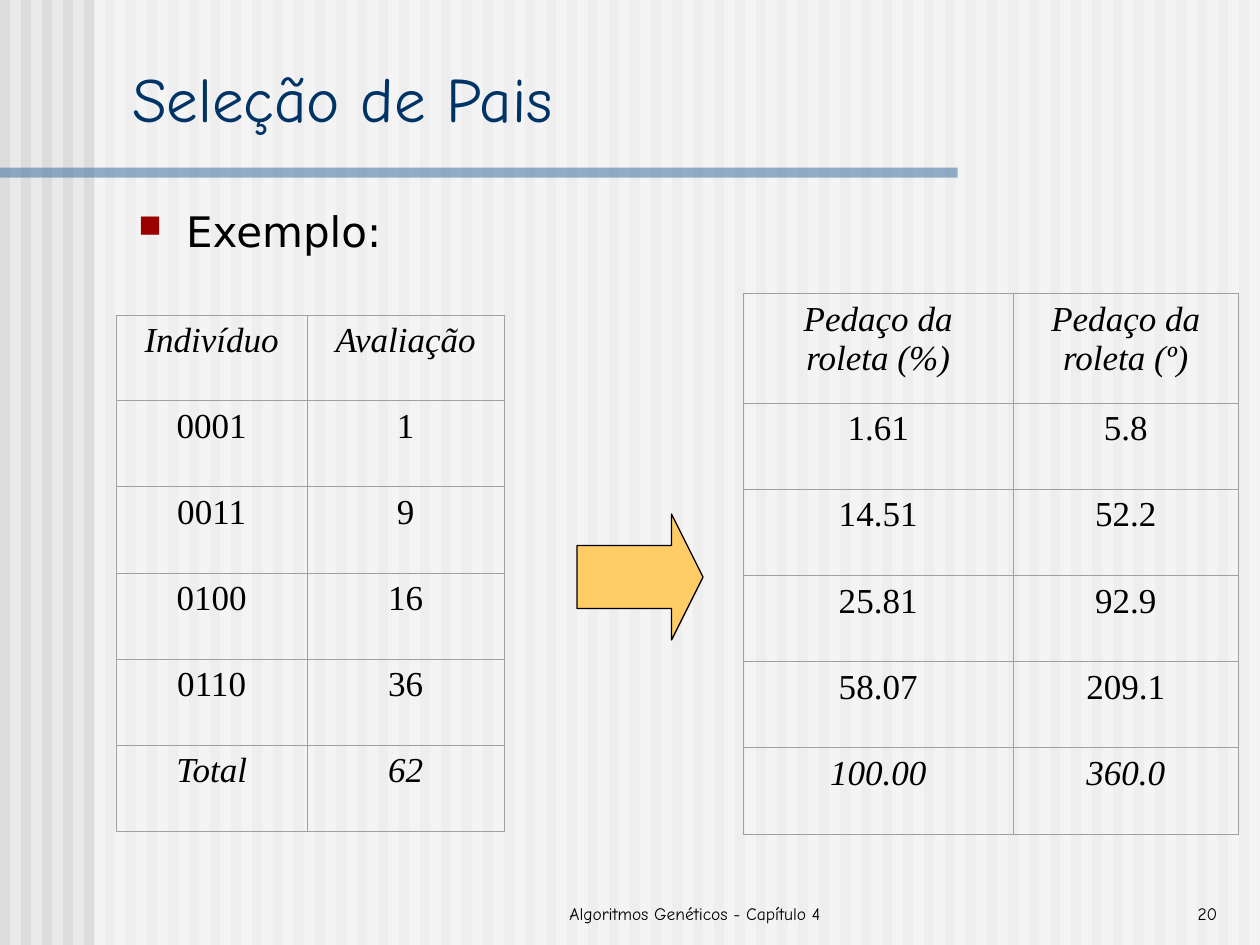
from lxml import etree
from pptx import Presentation
from pptx import util as u
from pptx.dml import color
from pptx.enum import shapes, text
from pptx.oxml import ns

# Content
TITLE = "Seleção de Pais"
BULLET = "Exemplo:"
FOOTER = "Algoritmos Genéticos - Capítulo 4"
PAGE_NUMBER = "20"
TABLES = [
    {
        "at": (0.92, 2.5), "widths": (1.52, 1.56), "header": 0.68, "margin": 0.21,
        "rows": [
            ("Indivíduo", "Avaliação"),
            ("0001", "1"),
            ("0011", "9"),
            ("0100", "16"),
            ("0110", "36"),
            ("Total", "62"),
        ],
    },
    {
        "at": (5.9, 2.33), "widths": (2.14, 1.79), "header": 0.87, "margin": 0.23,
        "rows": [
            ("Pedaço da roleta (%)", "Pedaço da roleta (º)"),
            ("1.61", "5.8"),
            ("14.51", "52.2"),
            ("25.81", "92.9"),
            ("58.07", "209.1"),
            ("100.00", "360.0"),
        ],
    },
]

# Look
ROW_HEIGHT = 0.684
STRIPE_COUNT = 60
STRIPE_WIDTH = 0.08
STRIPE_STEP = 1 / 6
BORDER = "A0A0A0"
NO_STYLE = "{2D5ABB26-0587-4C30-8999-92F81FD0307C}"
TITLE_FONT = {"name": "Comic Neue", "size": u.Pt(36)}
BODY_FONT = {"name": "DejaVu Sans", "size": u.Pt(24)}
CELL_FONT = {"name": "Times New Roman", "size": u.Pt(20)}
FOOTER_FONT = {"name": "Comic Neue", "size": u.Pt(10)}


def rgb(value):
    return color.RGBColor.from_string(value)


def add_xml(parent, tag, **attributes):
    return etree.SubElement(parent, ns.qn(tag), attributes)


def add_block(page, kind, at, fill, alpha=None):
    block = page.shapes.add_shape(kind, *map(u.Inches, at))
    block.shadow.inherit = False
    block.fill.solid()
    block.fill.fore_color.rgb = rgb(fill)
    block.line.fill.background()
    if alpha is not None:
        tint = block.fill._xPr.find(".//" + ns.qn("a:srgbClr"))
        add_xml(tint, "a:alpha", val=str(alpha * 1000))
    return block


def write(frame, words, font, align, ink="000000"):
    frame.word_wrap = True
    para = frame.paragraphs[0]
    para.alignment = align
    span = para.add_run()
    span.text = words
    for name, value in font.items():
        setattr(span.font, name, value)
    span.font.color.rgb = rgb(ink)
    return para


def add_text(page, at, words, font, align, anchor, ink="000000"):
    box = page.shapes.add_textbox(*map(u.Inches, at))
    box.text_frame.vertical_anchor = anchor
    return write(box.text_frame, words, font, align, ink)


def add_bullet(para):
    para.space_before = u.Pt(6)
    props = para._p.get_or_add_pPr()
    props.set("marL", str(u.Inches(0.38)))
    props.set("indent", str(u.Inches(-0.38)))
    add_xml(add_xml(props, "a:buClr"), "a:srgbClr", val="9A0000")
    add_xml(props, "a:buSzPct", val="75000")
    add_xml(props, "a:buChar", char="■")


def add_borders(cell):
    props = cell._tc.get_or_add_tcPr()
    for side in ("a:lnL", "a:lnR", "a:lnT", "a:lnB"):
        line = add_xml(props, side, w=str(u.Pt(0.5)))
        add_xml(add_xml(line, "a:solidFill"), "a:srgbClr", val=BORDER)


def add_grid(page, grid):
    rows, widths = grid["rows"], grid["widths"]
    heights = [grid["header"]] + [ROW_HEIGHT] * (len(rows) - 1)
    frame = page.shapes.add_table(
        len(rows), len(widths),
        *map(u.Inches, (*grid["at"], sum(widths), sum(heights))))
    table = frame.table
    table.first_row = table.horz_banding = False
    table._tbl.tblPr.find(ns.qn("a:tableStyleId")).text = NO_STYLE
    for column, width in zip(table.columns, widths):
        column.width = u.Inches(width)
    for r, (row, height) in enumerate(zip(rows, heights)):
        table.rows[r].height = u.Inches(height)
        font = {**CELL_FONT, "italic": r in (0, len(rows) - 1)}
        for c, words in enumerate(row):
            cell = table.cell(r, c)
            cell.margin_left = cell.margin_right = u.Inches(grid["margin"])
            add_borders(cell)
            cell.fill.background()
            write(cell.text_frame, words, font, text.PP_ALIGN.CENTER)


def main():
    deck = Presentation()
    deck.slide_width, deck.slide_height = u.Inches(10), u.Inches(7.5)
    page = deck.slides.add_slide(deck.slide_layouts[6])
    rect = shapes.MSO_SHAPE.RECTANGLE
    align, anchor = text.PP_ALIGN, text.MSO_ANCHOR

    # Striped background, veil and title rule
    page.background.fill.solid()
    page.background.fill.fore_color.rgb = rgb("EAEAEA")
    for i in range(STRIPE_COUNT):
        add_block(page, rect, (i * STRIPE_STEP, 0, STRIPE_WIDTH, 7.5), "DDDDDD")
    add_block(page, rect, (0.75, 0, 9.25, 7.5), "FFFFFF", alpha=50)
    add_block(page, rect, (0, 1.33, 7.6, 0.08), "336699", alpha=50)

    # Title and bullet
    add_text(page, (0.95, 0.42, 8.93, 0.7), TITLE, TITLE_FONT,
             align.LEFT, anchor.BOTTOM, "003366")
    add_bullet(add_text(page, (1, 1.58, 8.87, 0.6), BULLET, BODY_FONT,
                        align.JUSTIFY, anchor.TOP))

    # Tables and the arrow between them
    for grid in TABLES:
        add_grid(page, grid)
    arrow = add_block(page, shapes.MSO_SHAPE.RIGHT_ARROW, (4.58, 4.08, 1, 1), "FFCC66")
    arrow.adjustments[0], arrow.adjustments[1] = 0.5, 0.25
    arrow.line.color.rgb = rgb("000000")
    arrow.line.width = u.Pt(0.75)

    # Footer
    add_text(page, (3.93, 6.88, 3.17, 0.5), FOOTER, FOOTER_FONT,
             align.CENTER, anchor.BOTTOM)
    add_text(page, (7.68, 6.88, 2.08, 0.5), PAGE_NUMBER, FOOTER_FONT,
             align.RIGHT, anchor.BOTTOM)

    deck.save("out.pptx")


if __name__ == "__main__":
    main()
